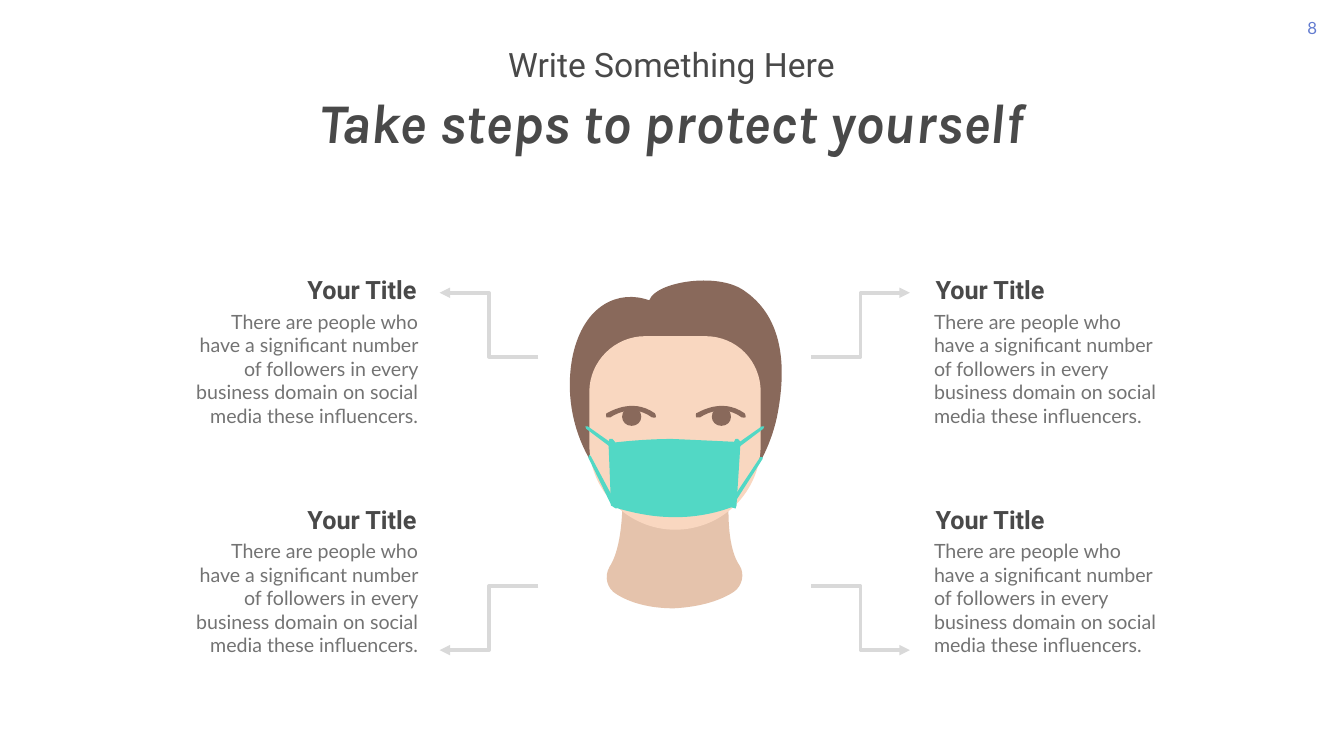
from lxml import etree
from pptx import Presentation
from pptx.dml.color import RGBColor
from pptx.enum.shapes import MSO_CONNECTOR
from pptx.enum.text import MSO_ANCHOR, MSO_AUTO_SIZE, PP_ALIGN
from pptx.oxml.ns import qn
from pptx.util import Pt

ELBOW = MSO_CONNECTOR.ELBOW
LEFT, MID, RIGHT = PP_ALIGN.LEFT, PP_ALIGN.CENTER, PP_ALIGN.RIGHT
TOP, CENTER = MSO_ANCHOR.TOP, MSO_ANCHOR.MIDDLE
GROW, FIXED = MSO_AUTO_SIZE.SHAPE_TO_FIT_TEXT, MSO_AUTO_SIZE.NONE
PX = 9144
WIDE, HIGH = 2666, 1500

THEME = {
    "page": {"name": "Lato", "size": 24, "color": "637CD0"},
    "lead": {"name": "Roboto", "size": 48, "color": "494949"},
    "main": {"name": "Karla", "size": 80, "color": "494949", "bold": True, "italic": True},
    "head": {"name": "Roboto", "size": 36, "color": "494949", "bold": True},
    "body": {"name": "Lato", "size": 28, "color": "737373"},
    "neck": "E5C3AC",
    "hair": "89695B",
    "skin": "F9D7C0",
    "mask": "52D8C5",
    "line": "D9D9D9",
    "weight": 5,
}

TITLE = "Your Title"
BODY = ("There are people who have a significant number of followers in every "
        "business domain on social media these influencers.")

NECK = [(363, 583), (330, 535, 344, 418, 344, 418), (130, 418),
        (130, 418, 138, 535, 105, 586), (94, 605, 100, 629, 119, 640),
        (146, 657, 184, 668, 233, 668), (289, 665, 328, 651, 352, 635),
        (368, 624, 374, 600, 363, 583)]
HAIR = [(263, 476), (214, 476), (108, 476, 0, 327, 32, 167),
        (54, 65, 124, 35, 184, 57), (195, 21, 317, 0, 371, 37),
        (444, 86, 458, 175, 439, 279), (425, 357, 368, 476, 263, 476)]
FACE = [(295, 128), (176, 128), (116, 128, 65, 177, 65, 239), (65, 342),
        (65, 437, 144, 512, 235, 512), (329, 512, 405, 437, 405, 342),
        (405, 239), (405, 177, 357, 128, 295, 128)]
BROW = [(99, 289), (97, 286, 99, 283, 99, 281), (102, 281, 148, 248, 195, 281),
        (197, 283, 197, 286, 197, 289), (195, 289, 192, 291, 189, 289),
        (148, 259, 107, 289, 107, 289)]
PUPIL = [(168, 288), (168, 298, 160, 306, 149, 306), (138, 306, 130, 298, 130, 288),
         (130, 277, 138, 269, 149, 269), (160, 269, 168, 277, 168, 288)]
MASK = [(348, 467), (348, 467, 296, 489, 229, 487), (172, 487, 113, 467, 113, 467),
        (107, 340), (107, 340, 167, 332, 229, 332), (299, 335, 359, 338, 359, 338)]
STRAP = [(127, 363), (124, 361), (59, 312), (57, 307), (62, 307), (130, 355), (130, 361)]
TIE_LEFT = [(112, 464), (109, 464), (63, 369), (65, 363), (68, 366), (117, 458), (115, 464)]
TIE_RIGHT = [(350, 459), (353, 459), (409, 371), (409, 368), (404, 368), (347, 454), (347, 459)]
EDGE_LEFT = [(118, 470), (108, 464), (103, 338), (105, 332), (111, 332), (116, 338), (123, 467)]
EDGE_RIGHT = [(355, 470), (345, 467), (352, 338), (355, 332), (360, 332), (365, 338), (357, 464)]


def emu(*sizes):
    """Turn px lengths into EMU."""
    return [round(size * PX) for size in sizes]


def write(slide, box, text, style, align=LEFT, anchor=TOP, pad=(10, 5), wrap=True,
          fit=GROW, space=None):
    """Place one styled paragraph in a box."""
    frame = slide.shapes.add_textbox(*emu(*box)).text_frame
    side, edge = emu(*pad)
    form = {"word_wrap": wrap, "auto_size": fit, "vertical_anchor": anchor,
            "margin_left": side, "margin_right": side,
            "margin_top": edge, "margin_bottom": edge}
    for key, value in form.items():
        setattr(frame, key, value)
    para = frame.paragraphs[0]
    para.alignment, para.line_spacing = align, space
    run = para.add_run()
    run.text = text
    for key, value in THEME[style].items():
        if key == "color":
            run.font.color.rgb = RGBColor.from_string(value)
        else:
            setattr(run.font, key, Pt(value) if key == "size" else value)


def paint(shape, color):
    """Give a shape a flat fill without line or shadow."""
    shape.shadow.inherit = False
    shape.fill.solid()
    shape.fill.fore_color.rgb = RGBColor.from_string(color)
    shape.line.fill.background()


def bend(shape, path):
    """Join each run of three segments that stands for a cubic into one curve."""
    lines = iter(list(shape._element.iter(qn("a:lnTo"))))
    for part in path[1:]:
        first = next(lines)
        if len(part) == 6:
            curve = etree.Element(qn("a:cubicBezTo"))
            first.addprevious(curve)
            for line in (first, next(lines), next(lines)):
                curve.append(line[0])
                line.getparent().remove(line)


def outline(slide, box, path, color, shift=0):
    """Draw a filled outline of lines and curves relative to a box."""
    points = [emu(box[0] + part[i] + shift, box[1] + part[i + 1])
              for part in path for i in range(0, len(part), 2)]
    form = slide.shapes.build_freeform(*points[0], scale=1.0)
    form.add_line_segments(points[1:], close=True)
    shape = form.convert_to_shape()
    bend(shape, path)
    paint(shape, color)


def flip(path, width=469):
    """Mirror a path of straight lines about the face's middle."""
    return [(width - x, y) for x, y in path]


def person(slide, box):
    """Draw the masked head and neck."""
    for path, tone in ((NECK, "neck"), (HAIR, "hair"), (FACE, "skin")):
        outline(slide, box, path, THEME[tone])
    for shift in (0, 178):
        for path in (BROW, PUPIL):
            outline(slide, box, path, THEME["hair"], shift)
    for path in (STRAP, TIE_LEFT, flip(STRAP), TIE_RIGHT, MASK, EDGE_LEFT, EDGE_RIGHT):
        outline(slide, box, path, THEME["mask"])


def arrow(slide, start, end):
    """Draw an elbow line with an arrowhead at its end."""
    link = slide.shapes.add_connector(ELBOW, *emu(*start, *end))
    link.line.color.rgb = RGBColor.from_string(THEME["line"])
    link.line.width = Pt(THEME["weight"])
    etree.SubElement(link.line._get_or_add_ln(), qn("a:tailEnd"), type="triangle")
    etree.SubElement(link._element.spPr, qn("a:effectLst"))


def callout(slide, box, right, lower):
    """Place a title, its text and the arrow from the head."""
    x, y, w, h = box
    align = LEFT if right else RIGHT
    tip = x - 38 if right else x + w + 33
    root = tip - 196 if right else tip + 196
    rise, base = (295, 168) if lower else (42, 169)
    arrow(slide, (root, y + base), (tip, y + rise))
    write(slide, (x + 3 * right, y, w - 3, 71), TITLE, "head", align)
    write(slide, (x, y + 70, w, h - 70), BODY, "body", align)


def header(slide, box):
    """Place the two centred heading lines."""
    x, y, w, h = box
    form = {"align": MID, "anchor": CENTER, "pad": (0, 0), "fit": FIXED, "space": 0.99}
    write(slide, (x + 200, y, w - 400, 233), "Write Something Here", "lead", **form)
    write(slide, (x, y + 117, w, h - 117), "Take steps to protect yourself", "main", **form)


def main():
    """Build and save the slide."""
    deck = Presentation()
    deck.slide_width, deck.slide_height = emu(WIDE, HIGH)
    slide = deck.slides.add_slide(deck.slide_layouts[6])
    write(slide, (2555, 25, 96, 61), "8", "page", MID, pad=(20, 10), wrap=False)
    header(slide, (520, 13, 1624, 348))
    person(slide, (1104, 539))
    for right, x in ((True, 1843), (False, 359)):
        for lower, y in enumerate((539, 995)):
            callout(slide, (x, y, 480, 316), right, lower)
    deck.save("out.pptx")


if __name__ == "__main__":
    main()
